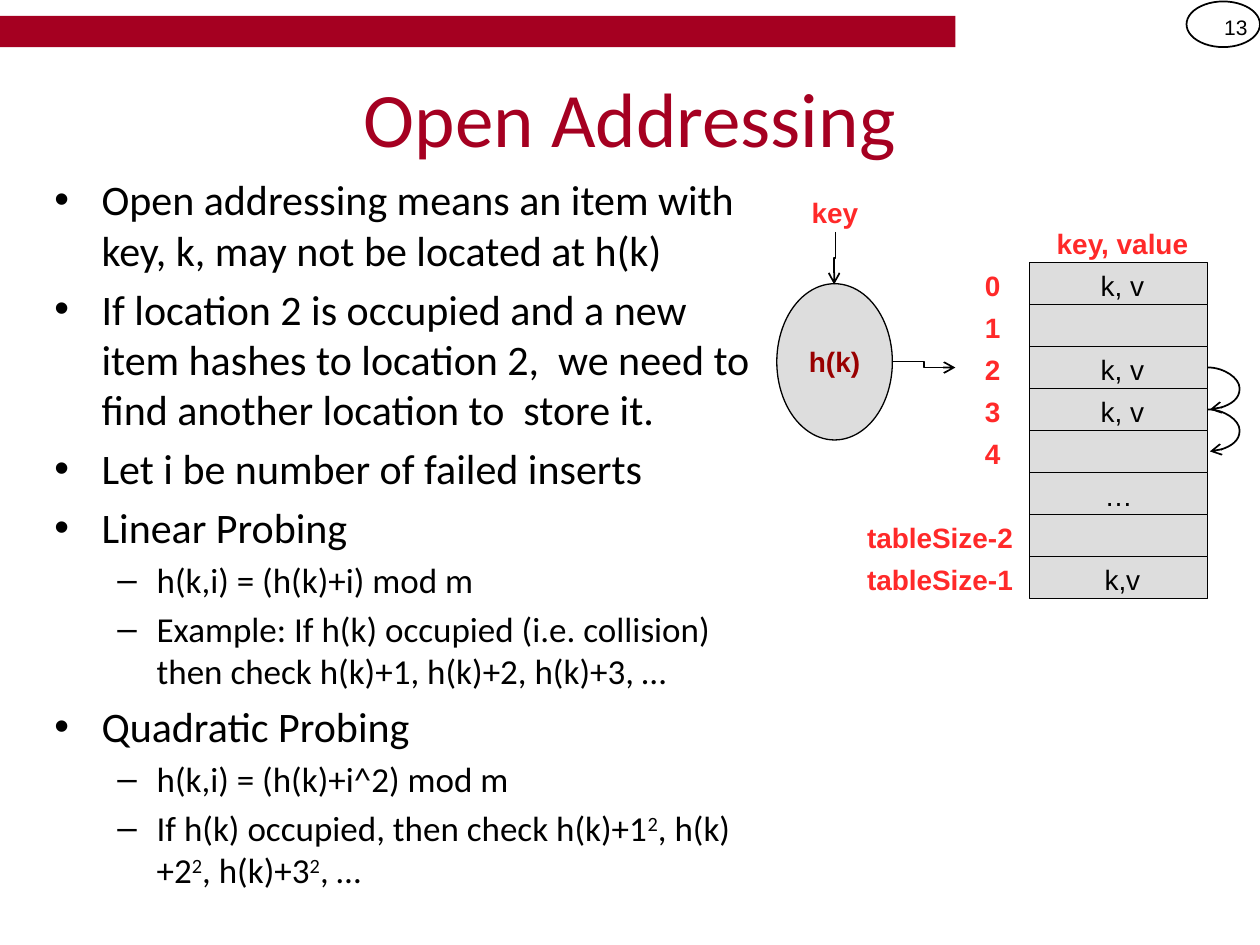
from typing import NamedTuple

from lxml.etree import SubElement
from pptx import Presentation
from pptx.dml.color import RGBColor
from pptx.enum.shapes import MSO_CONNECTOR, MSO_SHAPE
from pptx.enum.text import MSO_ANCHOR, MSO_AUTO_SIZE, PP_ALIGN
from pptx.oxml.ns import qn
from pptx.util import Cm, Pt

CRIMSON = RGBColor(0xA5, 0x00, 0x21)
RED = RGBColor(0xFF, 0x29, 0x29)
MAROON = RGBColor(0x99, 0x00, 0x00)
GRAY = RGBColor(0xDD, 0xDD, 0xDD)
BLACK = RGBColor(0, 0, 0)

LEFT, TOP = 20.75, 5.29  # hash table corner
WIDE, ROW = 3.6, 2.54 / 3  # hash table cell


class Box(NamedTuple):
    x: float
    y: float
    w: float
    h: float

    def place(self) -> list:
        return [Cm(v) for v in self]


class Slot(NamedTuple):
    label: str
    value: str
    wide: bool = False


class Point(NamedTuple):
    text: str
    level: int = 0


SLOTS = [
    Slot("0", " k, v"), Slot("1", ""), Slot("2", " k, v"), Slot("3", " k, v"),
    Slot("4", ""), Slot("", "…"),
    Slot("tableSize-2", "", True), Slot("tableSize-1", " k,v", True),
]

# Text between bars is superscript
POINTS = [
    Point("Open addressing means an item with key, k, may not be located at h(k)"),
    Point("If location 2 is occupied and a new item hashes to location 2,  "
          "we need to find another location to  store it."),
    Point("Let i be number of failed inserts"),
    Point("Linear Probing"),
    Point("h(k,i) = (h(k)+i) mod m", 1),
    Point("Example: If h(k) occupied (i.e. collision) then check "
          "h(k)+1, h(k)+2, h(k)+3, …", 1),
    Point("Quadratic Probing"),
    Point("h(k,i) = (h(k)+i^2) mod m", 1),
    Point("If h(k) occupied, then check h(k)+1|2|, h(k)+2|2|, h(k)+3|2|, …", 1),
]


def write(par, text: str, size=16, face="Arial", color=BLACK, bold=False,
          align=PP_ALIGN.CENTER) -> None:
    par.alignment = align
    for i, part in enumerate(text.split("|")):
        run = par.add_run()
        run.text = part
        font = run.font
        font.size, font.name, font.bold = Pt(size), face, bold
        font.color.rgb = color
        if i % 2:
            font._element.set("baseline", "30000")


def label(slide, box: Box, text: str, anchor=MSO_ANCHOR.TOP, **form) -> None:
    frame = slide.shapes.add_textbox(*box.place()).text_frame
    frame.word_wrap = True
    frame.vertical_anchor = anchor
    write(frame.paragraphs[0], text, **form)


def draw(slide, kind, box: Box, fill=None, line=None, text="",
         anchor=MSO_ANCHOR.TOP, **form) -> None:
    shape = slide.shapes.add_shape(kind, *box.place())
    shape.shadow.inherit = False
    if fill is None:
        shape.fill.background()
    else:
        shape.fill.solid()
        shape.fill.fore_color.rgb = fill
    if line is None:
        shape.line.fill.background()
    else:
        shape.line.color.rgb = BLACK
        shape.line.width = Pt(line)
    if text:
        shape.text_frame.vertical_anchor = anchor
        write(shape.text_frame.paragraphs[0], text, **form)


def link(slide, kind, box: Box, turn=0, bend=None) -> None:
    x, y, w, h = box
    wire = slide.shapes.add_connector(kind, Cm(x), Cm(y), Cm(x + w), Cm(y + h))
    wire.line.color.rgb = BLACK
    wire.line.width = Pt(1)
    SubElement(wire.line._get_or_add_ln(), qn("a:tailEnd"), type="arrow")
    props = wire._element.spPr
    SubElement(props, qn("a:effectLst"))
    if turn:
        props.find(qn("a:xfrm")).set("rot", str(turn * 60000))
    if bend:
        guides = props.find(qn("a:prstGeom")).find(qn("a:avLst"))
        SubElement(guides, qn("a:gd"), name="adj1", fmla=f"val {bend * 100000}")


def fit(shape, box: Box) -> None:
    shape.left, shape.top, shape.width, shape.height = box.place()
    shape.text_frame.auto_size = MSO_AUTO_SIZE.NONE


def main() -> None:
    deck = Presentation()
    deck.slide_width, deck.slide_height = Cm(25.4), Cm(19.05)
    slide = deck.slides.add_slide(deck.slide_layouts[1])
    title, body = slide.placeholders

    # Header band and page number
    draw(slide, MSO_SHAPE.RECTANGLE, Box(0, 0.32, 19.26, 0.63), fill=CRIMSON)
    draw(slide, MSO_SHAPE.OVAL, Box(23.92, 0.03, 1.48, 0.92), line=1)
    label(slide, Box(23.92, 0.03, 1.48, 1.02), "13", MSO_ANCHOR.MIDDLE,
          size=12, align=PP_ALIGN.RIGHT)

    # Title and list
    fit(title, Box(1.27, 0.76, 22.86, 3.18))
    title.text_frame.vertical_anchor = MSO_ANCHOR.MIDDLE
    write(title.text_frame.paragraphs[0], "Open Addressing", size=44,
          face="Calibri", color=CRIMSON)
    fit(body, Box(0.84, 3.38, 14.88, 14.81))
    frame = body.text_frame
    for i, point in enumerate(POINTS):
        par = frame.add_paragraph() if i else frame.paragraphs[0]
        par.level = point.level
        if i == 0:
            par.space_before = Pt(0)
        write(par, point.text, size=20 if point.level else 24,
              face="Calibri", align=PP_ALIGN.LEFT)

    # Hash table
    red = dict(color=RED, bold=True)
    label(slide, Box(LEFT, TOP - ROW, WIDE, ROW), " key, value", **red)
    for i, slot in enumerate(SLOTS):
        y = TOP + i * ROW
        draw(slide, MSO_SHAPE.RECTANGLE, Box(LEFT, y, WIDE, ROW), fill=GRAY,
             line=0.75, text=slot.value)
        if slot.label:
            w = WIDE if slot.wide else 1.48
            label(slide, Box(LEFT - w, y, w, ROW), slot.label, **red)

    # Hash function
    label(slide, Box(16.09, 3.81, 1.48, ROW), "key", **red)
    draw(slide, MSO_SHAPE.OVAL, Box(15.66, 5.72, 2.33, 3.15), fill=GRAY,
         line=0.75, text="h(k)", anchor=MSO_ANCHOR.MIDDLE, color=MAROON,
         bold=True)
    link(slide, MSO_CONNECTOR.ELBOW, Box(16.3, 5.19, 1.06, 0.03), turn=90)
    link(slide, MSO_CONNECTOR.ELBOW, Box(17.99, 7.29, 1.27, 0.12))

    # Probes from slot 2 to 3 and from 3 to 4
    for i in (2, 3):
        y = TOP + (i + 0.5) * ROW
        link(slide, MSO_CONNECTOR.CURVE, Box(LEFT + WIDE, y, 0.04, ROW), bend=16)

    deck.save("out.pptx")


if __name__ == "__main__":
    main()
